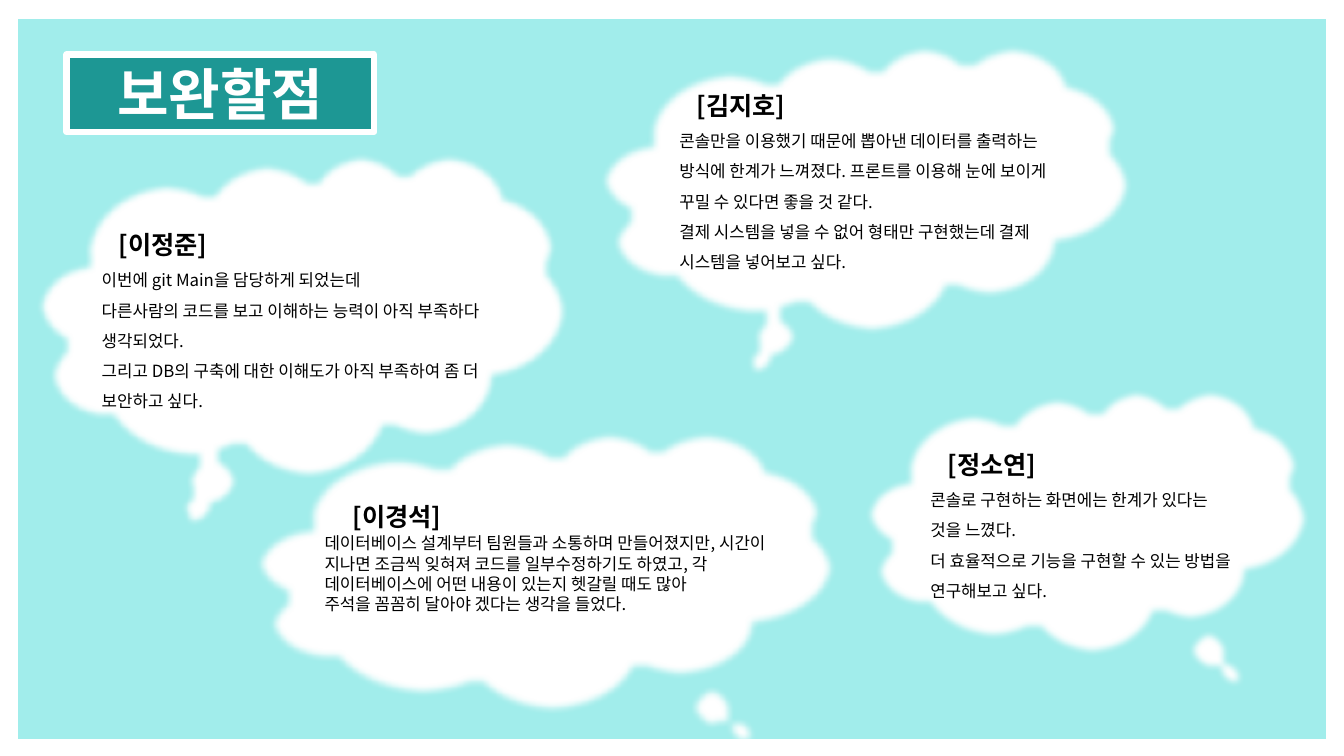
from lxml.etree import SubElement
from pptx import Presentation
from pptx.dml.color import RGBColor
from pptx.enum.shapes import MSO_SHAPE as Shape
from pptx.enum.text import MSO_ANCHOR as Anchor, MSO_AUTO_SIZE as AutoSize, PP_ALIGN as Align
from pptx.oxml.ns import qn
from pptx.util import Inches, Pt

FONT = "Noto Sans CJK KR"
WHITE, BLACK, AQUA, TEAL = "FFFFFF", "000000", "A1EDEB", "1D9794"

presentation = Presentation()
presentation.slide_width, presentation.slide_height = Inches(13.33), Inches(7.5)
slide = presentation.slides.add_slide(presentation.slide_layouts[6])
column = presentation.slide_width / 100
row = presentation.slide_height / 100


def add_filled(kind, box, color):
    """Place a plain shape; box is left, top, width, height in percent of the slide."""
    left, top, width, height = box
    shape = slide.shapes.add_shape(kind, int(left * column), int(top * row),
                                   int(width * column), int(height * row))
    shape.shadow.inherit = False
    shape.fill.solid()
    shape.fill.fore_color.rgb = RGBColor.from_string(color)
    shape.line.fill.background()
    return shape


def format_text(paragraph, size, color, bold):
    for run in paragraph.runs:
        run.font.name, run.font.size, run.font.bold = FONT, Pt(size), bold
        run.font.color.rgb = RGBColor.from_string(color)
        SubElement(run.font._element, qn("a:ea"), typeface=FONT)


# Background panel and title
add_filled(Shape.RECTANGLE, (1.35, 2.53, 97.3, 95.2), AQUA)
title = add_filled(Shape.RECTANGLE, (4.95, 7.2, 22.88, 10.27), TEAL)
title.line.color.rgb = RGBColor.from_string(WHITE)
title.line.width = Pt(4.5)
title.text_frame.text = "보완할점"
title.text_frame.vertical_anchor = Anchor.MIDDLE
title.text_frame.auto_size = AutoSize.SHAPE_TO_FIT_TEXT
title.text_frame.paragraphs[0].alignment = Align.CENTER
format_text(title.text_frame.paragraphs[0], 40, WHITE, True)

# Clouds with soft edges: box, tail tip
LEFT_TAIL = (-0.208, 0.625)
clouds = [
    ((2.78, 20.13, 39.46, 43.07), LEFT_TAIL),
    ((64.37, 51.33, 33.08, 35.33), (0.346, 0.609)),
    ((18.98, 56.8, 43.21, 37.47), (0.366, 0.613)),
    ((44.64, 5.73, 39.53, 38.4), LEFT_TAIL),
]
for box, tail in clouds:
    cloud = add_filled(Shape.CLOUD_CALLOUT, box, WHITE)
    cloud.adjustments[0], cloud.adjustments[1] = tail
    effects = cloud._element.spPr.find(qn("a:effectLst"))
    SubElement(effects, qn("a:softEdge"), rad=str(Pt(5)))

# Reflections: box, line spacing, name, sentences
reflections = [
    ((24.23, 63.6, 42.01, 6.67), 1.5, "[이경석]", []),
    ((6.83, 27.73, 33.16, 27.6), 1.5, "[이정준]", [
        "이번에 git Main을 담당하게 되었는데",
        "다른사람의 코드를 보고 이해하는 능력이 아직 부족하다",
        "생각되었다.",
        "그리고 DB의 구축에 대한 이해도가 아직 부족하여 좀 더 보안하고 싶다."]),
    ((49.81, 9.33, 31.36, 27.6), 1.5, "[김지호]", [
        "콘솔만을 이용했기 때문에 뽑아낸 데이터를 출력하는 방식에 한계가 느껴졌다. "
        "프론트를 이용해 눈에 보이게 꾸밀 수 있다면 좋을 것 같다.",
        "결제 시스템을 넣을 수 없어 형태만 구현했는데 결제 시스템을 넣어보고 싶다."]),
    ((68.49, 56.8, 31.36, 23.6), 1.5, "[정소연]", [
        "콘솔로 구현하는 화면에는 한계가 있다는",
        "것을 느꼈다.",
        "더 효율적으로 기능을 구현할 수 있는 방법을",
        "연구해보고 싶다."]),
    ((23.41, 69.87, 35.86, 12.13), 1.0, None, [
        "데이터베이스 설계부터 팀원들과 소통하며 만들어졌지만, 시간이 지나면 조금씩 잊혀져 "
        "코드를 일부수정하기도 하였고, 각 데이터베이스에 어떤 내용이 있는지 헷갈릴 때도 많아",
        "주석을 꼼꼼히 달아야 겠다는 생각을 들었다."]),
]
for (left, top, width, height), spacing, name, sentences in reflections:
    text_box = slide.shapes.add_textbox(int(left * column), int(top * row),
                                        int(width * column), int(height * row))
    text_frame = text_box.text_frame
    text_frame.word_wrap = True
    text_frame.auto_size = AutoSize.SHAPE_TO_FIT_TEXT
    text_frame.text = "\n".join(([name] if name else []) + sentences)
    for index, paragraph in enumerate(text_frame.paragraphs):
        paragraph.line_spacing = spacing
        is_name = bool(name) and index == 0
        format_text(paragraph, 18 if is_name else 12, BLACK, is_name)
        if is_name:
            paragraph._p.get_or_add_pPr().set("indent", str(Inches(0.17)))

presentation.save("out.pptx")
